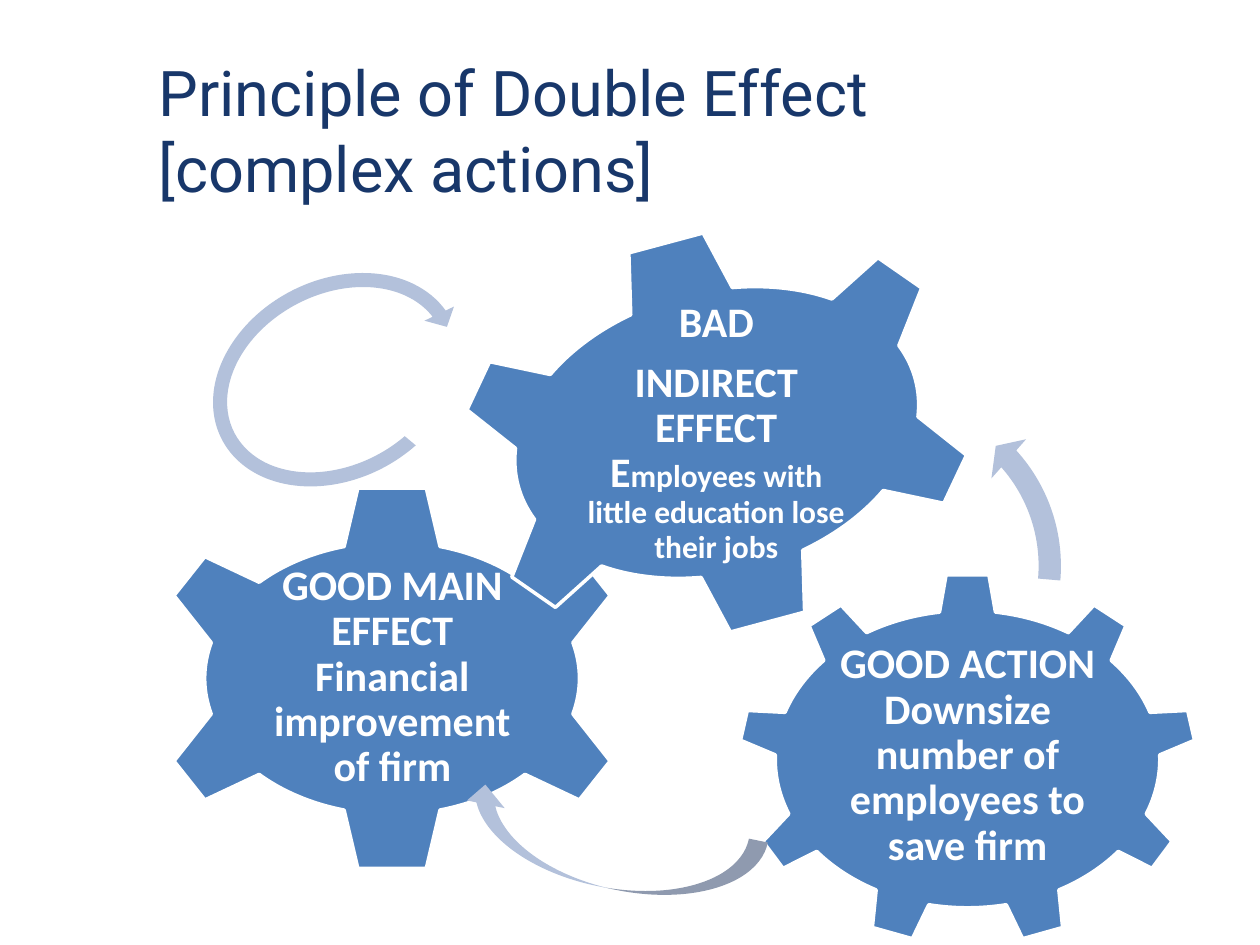
from pptx import Presentation
from pptx import util as u
from pptx.dml.color import RGBColor
from pptx.enum import shapes, text
from pptx.oxml.ns import qn

COLOURS = {"title": "18376A", "gear": "4F81BD", "arrow": "B3C1DB", "white": "FFFFFF"}
SHAPE = shapes.MSO_SHAPE

TITLE = ("Principle of Double Effect [complex actions]", (2.95, 1.52, 14.96, 2.18))

GEARS = [
    {"preset": SHAPE.GEAR_9, "box": (14.88, 11.56, 9.25, 7.49), "turn": 0,
     "label_box": (16.61, 13.31, 5.79, 3.86),
     "label": [[("GOOD ACTION Downsize number of employees to save firm", 24)]]},
    {"preset": SHAPE.GEAR_6, "box": (2.95, 9.75, 9.91, 7.85), "turn": 0,
     "label_box": (5.23, 11.73, 5.36, 3.86),
     "label": [[("GOOD MAIN EFFECT Financial improvement of firm", 24)]]},
    {"preset": SHAPE.GEAR_6, "box": (9.09, 4.67, 10.72, 8.1), "turn": 345,
     "label_box": (11.58, 6.3, 5.72, 4.85),
     "label": [[("BAD", 24)],
               [("INDIRECT EFFECT E", 24),
                ("mployees with little education lose their jobs", 18)]]},
]

ARROWS = [
    {"preset": SHAPE.CURVED_RIGHT_ARROW, "box": (11.51, 14.02, 1.55, 6.2),
     "turn": 281.6, "flip": "flipV"},
    {"preset": SHAPE.CIRCULAR_ARROW, "box": (3.99, 5.46, 5.59, 4.39),
     "turn": 152.4, "adjust": (0.065, 4.3, 104.891, 148.378, 0.075)},
    {"preset": SHAPE.CIRCULAR_ARROW, "box": (14.17, 7.65, 7.52, 7.52),
     "flip": "flipH", "adjust": (0.06, 3.941, 133.138, 105.082, 0.07)},
]


def colour(name):
    return RGBColor.from_string(COLOURS[name])


def place(box):
    return [u.Cm(length) for length in box]


def add_text(slide, paragraphs, box, *, font, ink, bold=False, align=text.PP_ALIGN.LEFT,
             inset=(0.25, 0.13), line_spacing=1.0, after=0):
    frame = slide.shapes.add_textbox(*place(box)).text_frame
    frame.word_wrap = True
    frame.vertical_anchor = text.MSO_ANCHOR.MIDDLE
    frame.margin_left = frame.margin_right = u.Cm(inset[0])
    frame.margin_top = frame.margin_bottom = u.Cm(inset[1])
    for index, runs in enumerate(paragraphs):
        paragraph = frame.add_paragraph() if index else frame.paragraphs[0]
        paragraph.alignment = align
        paragraph.line_spacing = line_spacing
        paragraph.space_after = u.Pt(after)
        for words, size in runs:
            run = paragraph.add_run()
            run.text = words
            run.font.name, run.font.size, run.font.bold = font, u.Pt(size), bold
            run.font.color.rgb = colour(ink)


def add_figure(slide, preset, box, fill, turn=0, outline=None, flip=None, adjust=()):
    figure = slide.shapes.add_shape(preset, *place(box))
    figure.shadow.inherit = False
    figure.fill.solid()
    figure.fill.fore_color.rgb = colour(fill)
    if outline:
        figure.line.color.rgb = colour(outline)
        figure.line.width = u.Pt(2)
    else:
        figure.line.fill.background()
    figure.rotation = turn
    for index, value in enumerate(adjust):
        figure.adjustments[index] = value
    if flip:
        figure._element.spPr.find(qn("a:xfrm")).set(flip, "1")


def main():
    deck = Presentation()
    deck.slide_width, deck.slide_height = u.Cm(25.4), u.Cm(19.05)
    slide = deck.slides.add_slide(deck.slide_layouts[6])

    title, title_box = TITLE
    add_text(slide, [[(title, 36)]], title_box, font="Roboto", ink="title")
    for gear in GEARS:
        add_figure(slide, gear["preset"], gear["box"], "gear", gear["turn"], outline="white")
        add_text(slide, gear["label"], gear["label_box"], font="Calibri", ink="white",
                 bold=True, align=text.PP_ALIGN.CENTER, inset=(0.08, 0.08),
                 line_spacing=0.9, after=8.4)
    for arrow in ARROWS:
        add_figure(slide, fill="arrow", **arrow)

    deck.save("out.pptx")


if __name__ == "__main__":
    main()
